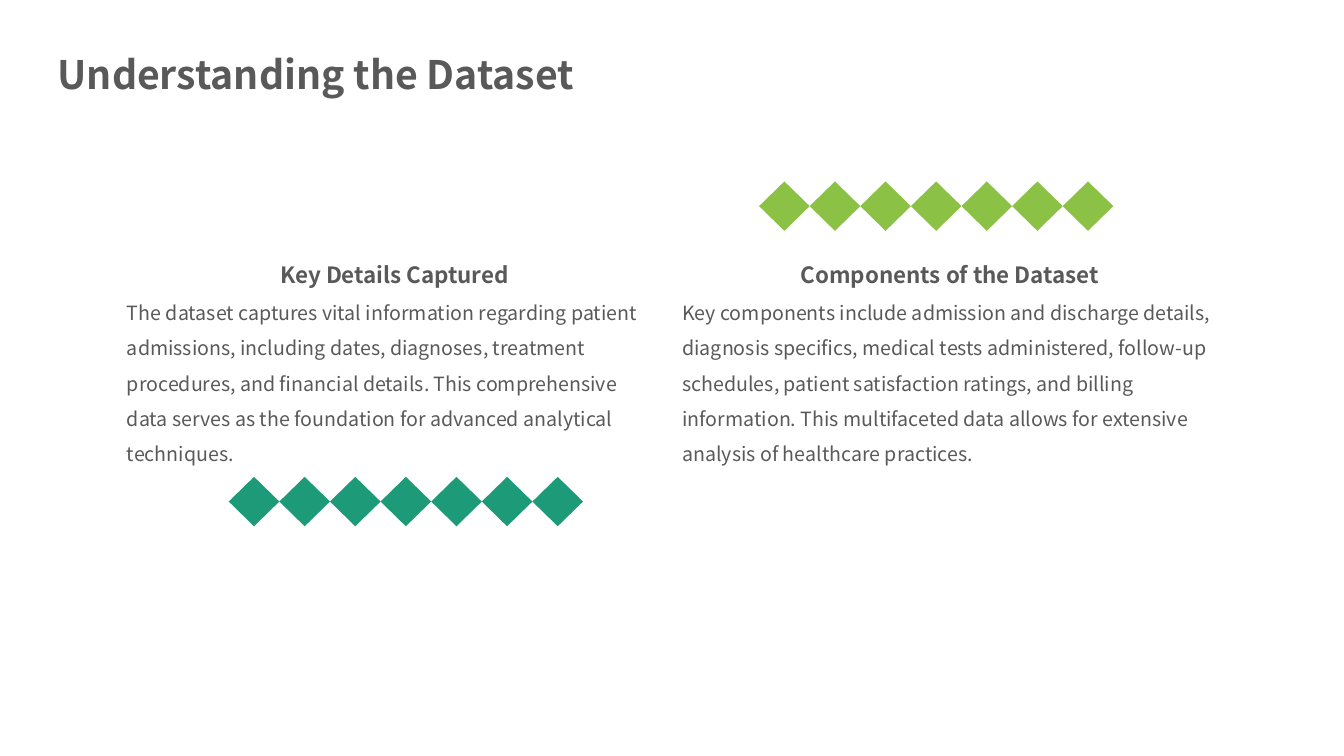
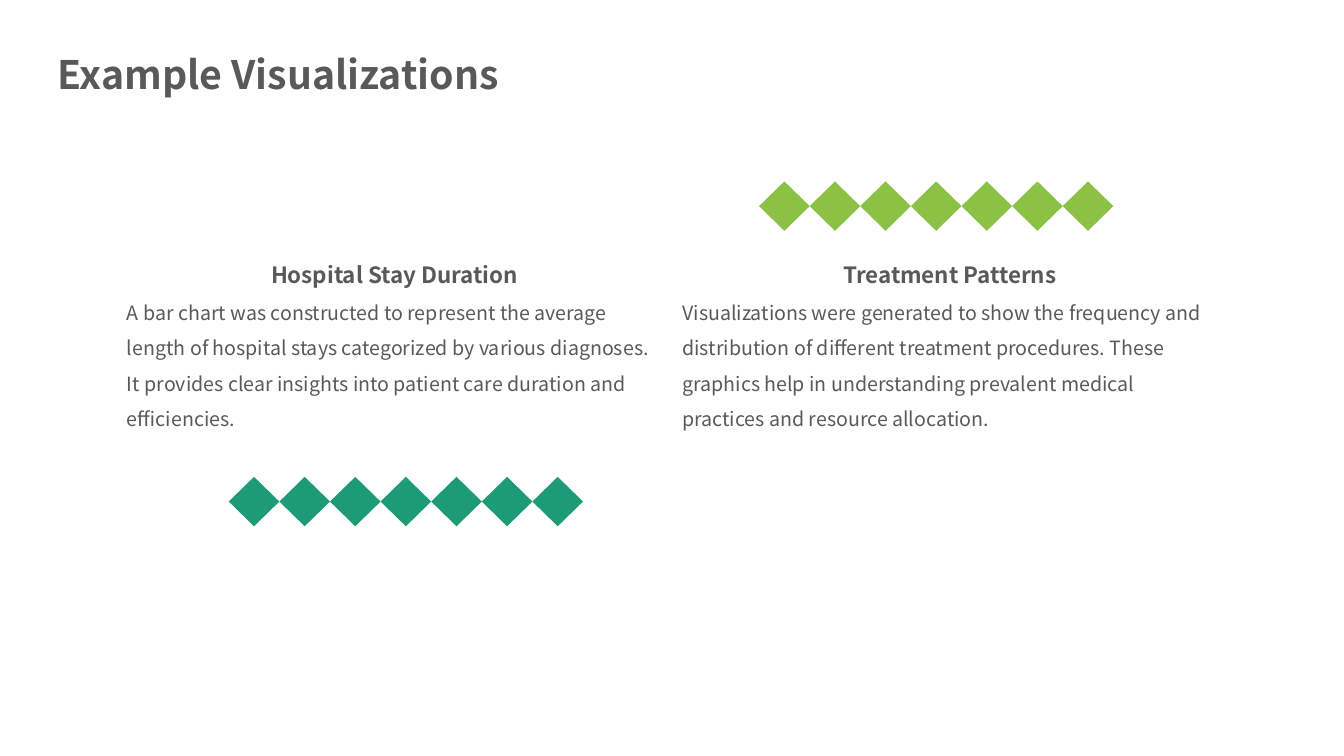
from lxml import etree
from pptx import Presentation
from pptx.dml.color import RGBColor
from pptx.enum import shapes, text
from pptx.oxml.ns import qn
from pptx.util import Pt

TEAL, LIME, GRAY = "1D9A78", "8BC145", "595959"


def colour(value):
    return RGBColor.from_string(value)


def set_all(target, values):
    for name, value in values.items():
        setattr(target, name, value)


class Deck:
    FONT = "Noto Sans CJK SC"
    COLUMN_LEFTS = (83.5, 480.2)
    COLUMN_WIDTH = 396.7
    DIAMOND_STEP, DIAMOND_HEIGHT, DIAMOND_COUNT = 36.15, 35.3, 7
    FRAME = {
        "word_wrap": True,
        "auto_size": text.MSO_AUTO_SIZE.SHAPE_TO_FIT_TEXT,
        "vertical_anchor": text.MSO_ANCHOR.TOP,
    }
    TITLE = {
        "span": {"size": Pt(28), "bold": True},
        "para": {"alignment": text.PP_ALIGN.LEFT},
    }
    HEADING = {
        "span": {"size": Pt(16), "bold": True},
        "para": {"alignment": text.PP_ALIGN.CENTER, "line_spacing": 1.2},
    }
    BODY = {
        "span": {"size": Pt(14), "bold": False},
        "para": {"alignment": text.PP_ALIGN.LEFT, "line_spacing": 1.5},
    }

    def __init__(self):
        self.deck = Presentation()
        set_all(self.deck, {"slide_width": Pt(960), "slide_height": Pt(540)})
        self.page = None

    def add_page(self, title):
        layout = self.deck.slide_layouts.get_by_name("Comparison")
        self.page = self.deck.slides.add_slide(layout)
        self.fill_box(0, title, self.TITLE, (34, 32.5, 680.4, 41))

    def fill_box(self, index, words, style, place):
        box = self.page.placeholders[index]
        sides = ("left", "top", "width", "height")
        set_all(box, {side: Pt(value) for side, value in zip(sides, place)})
        set_all(box.text_frame, self.FRAME)
        para = box.text_frame.paragraphs[0]
        set_all(para, style["para"])
        span = para.add_run()
        span.text = words
        set_all(span.font, {"name": self.FONT, **style["span"]})
        span.font.color.rgb = colour(GRAY)
        return para

    def add_column(self, number, heading, body):
        left = self.COLUMN_LEFTS[number]
        index = 1 + 2 * number
        self.fill_box(index, heading, self.HEADING,
                      (left, 179.3, self.COLUMN_WIDTH, 28.8))
        para = self.fill_box(index + 1, body, self.BODY,
                             (left, 203, self.COLUMN_WIDTH, 59.8))
        properties = para._p.get_or_add_pPr()
        properties.set("marL", "0")
        properties.set("indent", "0")
        etree.SubElement(properties, qn("a:buNone"))

    def add_diamonds(self, left, top, fill):
        row = self.page.shapes.add_group_shape()
        for number in range(self.DIAMOND_COUNT):
            diamond = row.shapes.add_shape(
                shapes.MSO_SHAPE.DIAMOND,
                Pt(left + number * self.DIAMOND_STEP), Pt(top),
                Pt(self.DIAMOND_STEP), Pt(self.DIAMOND_HEIGHT))
            diamond.shadow.inherit = False
            diamond.fill.solid()
            diamond.fill.fore_color.rgb = colour(fill)
            diamond.line.fill.background()

    def save(self):
        self.deck.save("out.pptx")


PAGES = [
    ("Understanding the Dataset", [
        ("Key Details Captured",
         "The dataset captures vital information regarding patient admissions, "
         "including dates, diagnoses, treatment procedures, and financial details. "
         "This comprehensive data serves as the foundation for advanced analytical "
         "techniques."),
        ("Components of the Dataset",
         "Key components include admission and discharge details, diagnosis "
         "specifics, medical tests administered, follow-up schedules, patient "
         "satisfaction ratings, and billing information. This multifaceted data "
         "allows for extensive analysis of healthcare practices."),
    ]),
    ("Example Visualizations", [
        ("Hospital Stay Duration",
         "A bar chart was constructed to represent the average length of hospital "
         "stays categorized by various diagnoses. It provides clear insights into "
         "patient care duration and efficiencies."),
        ("Treatment Patterns",
         "Visualizations were generated to show the frequency and distribution of "
         "different treatment procedures. These graphics help in understanding "
         "prevalent medical practices and resource allocation."),
    ]),
]


def main():
    deck = Deck()
    for title, columns in PAGES:
        deck.add_page(title)
        deck.add_diamonds(163.4, 340.6, TEAL)
        deck.add_diamonds(542.2, 129.6, LIME)
        for number, (heading, body) in enumerate(columns):
            deck.add_column(number, heading, body)
    deck.save()


if __name__ == "__main__":
    main()
